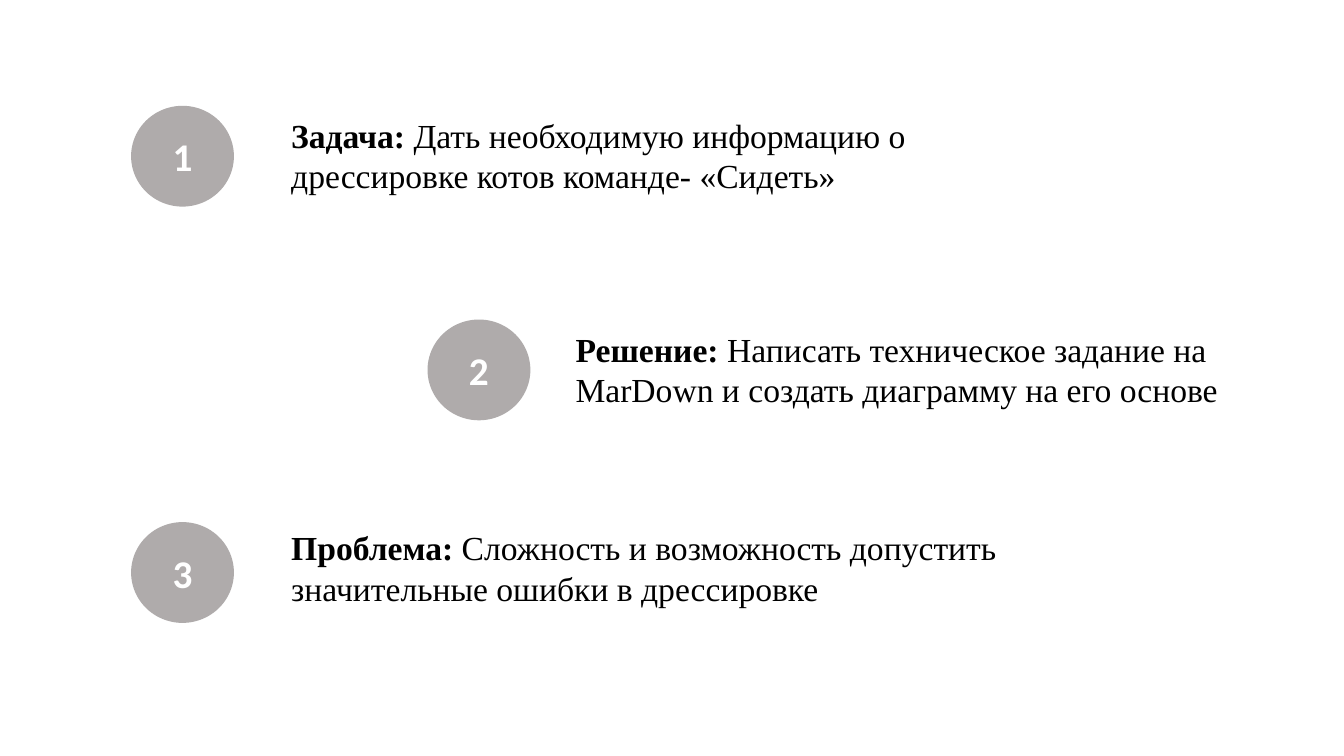
from pptx import Presentation
from pptx.dml.color import RGBColor
from pptx.enum.shapes import MSO_SHAPE
from pptx.enum.text import MSO_ANCHOR, MSO_AUTO_SIZE, PP_ALIGN
from pptx.util import Inches, Pt

CIRCLE = MSO_SHAPE.FLOWCHART_CONNECTOR
MIDDLE = MSO_ANCHOR.MIDDLE
CENTER = PP_ALIGN.CENTER
GROW = MSO_AUTO_SIZE.SHAPE_TO_FIT_TEXT
BLANK_LAYOUT = 6

COLORS = {"badge": "AFABAB", "number": "FFFFFF", "text": "000000"}

# badge left, badge top, text left, text top, text width, label, statement
POINTS = [
    (1.3, 1.05, 2.79, 1.09, 6.67, "Задача: ",
     "Дать необходимую информацию о дрессировке котов команде- «Сидеть»"),
    (4.24, 3.17, 5.61, 3.21, 6.67, "Решение: ",
     "Написать техническое задание на MarDown и создать диаграмму на его основе"),
    (1.3, 5.18, 2.79, 5.18, 7.19, "Проблема: ",
     "Сложность и возможность допустить значительные ошибки в дрессировке"),
]


def color(name):
    return RGBColor.from_string(COLORS[name])


def set_font(font, name, size, color_name):
    font.name = name
    font.size = Pt(size)
    font.color.rgb = color(color_name)


def add_badge(slide, left, top, number):
    badge = slide.shapes.add_shape(
        CIRCLE, Inches(left), Inches(top), Inches(1.02), Inches(1))
    badge.shadow.inherit = False
    badge.fill.solid()
    badge.fill.fore_color.rgb = color("badge")
    badge.line.fill.background()
    badge.text_frame.vertical_anchor = MIDDLE
    paragraph = badge.text_frame.paragraphs[0]
    paragraph.text = str(number)
    paragraph.alignment = CENTER
    set_font(paragraph.font, "Calibri", 28, "number")
    paragraph.font.bold = True


def add_statement(slide, left, top, width, label, statement):
    box = slide.shapes.add_textbox(
        Inches(left), Inches(top), Inches(width), Inches(0.91))
    box.text_frame.word_wrap = True
    box.text_frame.auto_size = GROW
    paragraph = box.text_frame.paragraphs[0]
    set_font(paragraph.font, "Times New Roman", 24, "text")
    label_run = paragraph.add_run()
    label_run.text = label
    label_run.font.bold = True
    paragraph.add_run().text = statement


def main():
    deck = Presentation()
    deck.slide_width = Inches(13.33)
    deck.slide_height = Inches(7.5)
    slide = deck.slides.add_slide(deck.slide_layouts[BLANK_LAYOUT])
    for number, point in enumerate(POINTS, start=1):
        badge_left, badge_top, *statement = point
        add_badge(slide, badge_left, badge_top, number)
        add_statement(slide, *statement)
    deck.save("out.pptx")


if __name__ == "__main__":
    main()
